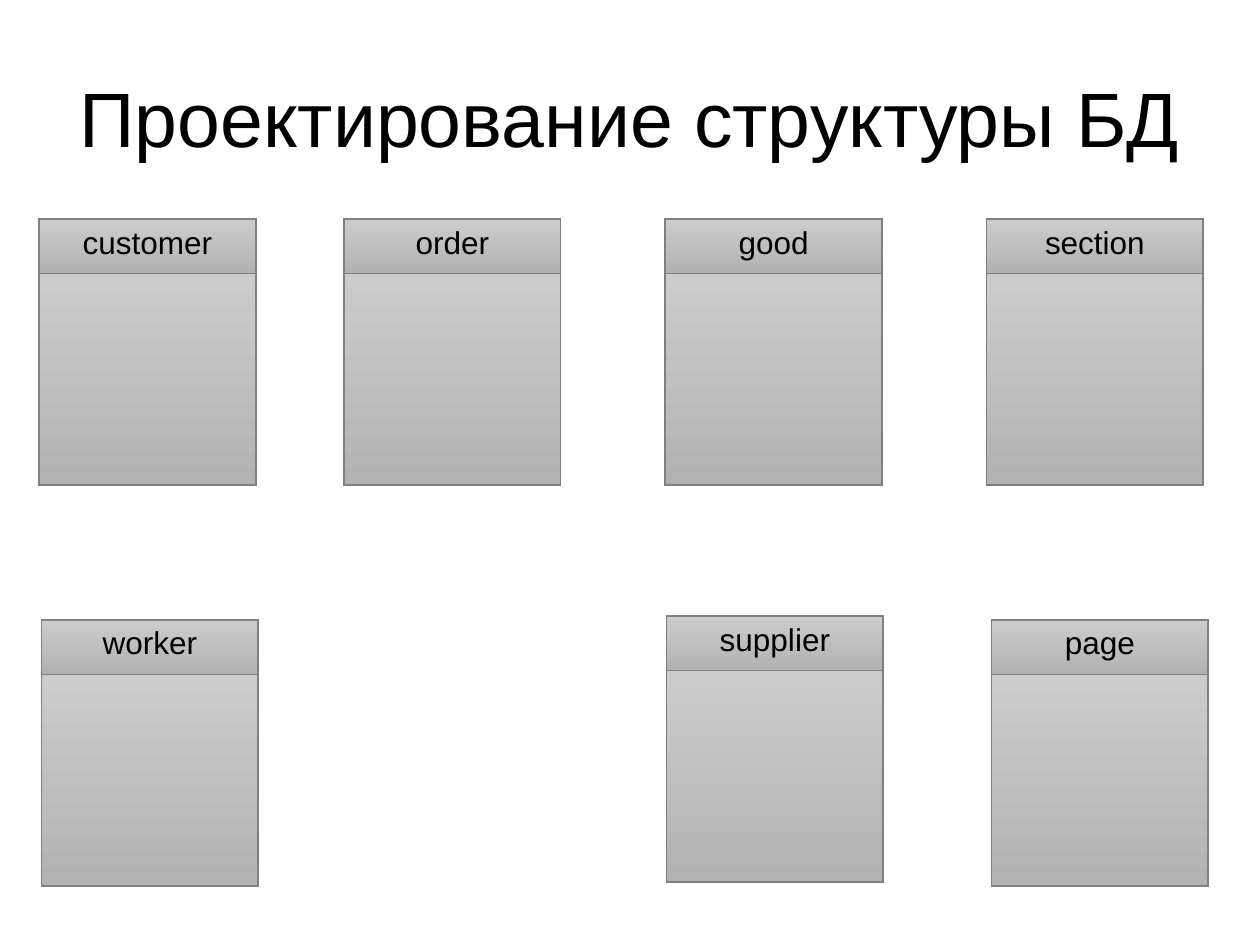
from lxml.etree import SubElement
from pptx import Presentation
from pptx.dml.color import RGBColor
from pptx.enum.text import MSO_ANCHOR as Anchor, PP_ALIGN as Align
from pptx.oxml.ns import qn
from pptx.util import Inches, Pt

FONT = "Arial"
INK = "000000"
BORDER = "808080"
SHADE = ("CCCCCC", "B2B2B2")
OUTER, INNER = 1.08, 0.45
ENTITY_WIDTH = 1.72
HEADER_HEIGHT, BODY_HEIGHT = 0.43, 1.68
ENTITIES = [
    ("good", 5.28, 1.74),
    ("section", 7.83, 1.74),
    ("page", 7.87, 4.92),
    ("customer", 0.31, 1.74),
    ("worker", 0.33, 4.92),
    ("supplier", 5.29, 4.89),
    ("order", 2.73, 1.74),
]


def color(code):
    return RGBColor.from_string(code)


def write(frame, wording, size):
    paragraph = frame.paragraphs[0]
    paragraph.alignment = Align.CENTER
    run = paragraph.add_run()
    run.text = wording
    run.font.name = FONT
    run.font.size = Pt(size)
    run.font.color.rgb = color(INK)


def add_border(cell, side, width):
    properties = cell._tc.get_or_add_tcPr()
    edge = SubElement(properties, qn(f"a:ln{side}"), w=str(Pt(width)))
    solid = SubElement(edge, qn("a:solidFill"))
    SubElement(solid, qn("a:srgbClr"), val=BORDER)


def style_cell(cell, top, bottom):
    for side, width in zip("LRTB", (OUTER, OUTER, top, bottom)):
        add_border(cell, side, width)
    cell.fill.gradient()
    cell.fill.gradient_angle = 270
    for stop, code in zip(cell.fill.gradient_stops, SHADE):
        stop.color.rgb = color(code)
    cell.margin_left = cell.margin_right = Inches(0.1)
    cell.margin_top = cell.margin_bottom = Inches(0.05)
    cell.vertical_anchor = Anchor.TOP


def place_title(slide, left, top, width, height):
    title = slide.shapes.title
    title.left, title.top = Inches(left), Inches(top)
    title.width, title.height = Inches(width), Inches(height)
    title.text_frame.vertical_anchor = Anchor.MIDDLE
    title.text_frame.word_wrap = True
    write(title.text_frame, "Проектирование структуры БД", 44)


def place_entity(slide, name, left, top):
    entity = slide.shapes.add_table(
        2, 1, Inches(left), Inches(top),
        Inches(ENTITY_WIDTH), Inches(HEADER_HEIGHT + BODY_HEIGHT),
    ).table
    entity.first_row = False
    entity.horz_banding = False
    entity.rows[0].height = Inches(HEADER_HEIGHT)
    entity.rows[1].height = Inches(BODY_HEIGHT)
    header, body = entity.cell(0, 0), entity.cell(1, 0)
    style_cell(header, OUTER, INNER)
    style_cell(body, INNER, OUTER)
    write(header.text_frame, name, 18)


def main():
    deck = Presentation()
    deck.slide_width, deck.slide_height = Inches(10), Inches(7.5)
    slide = deck.slides.add_slide(deck.slide_layouts[5])
    place_title(slide, 0.5, 0.3, 9, 1.25)
    for name, left, top in ENTITIES:
        place_entity(slide, name, left, top)
    deck.save("out.pptx")


if __name__ == "__main__":
    main()
